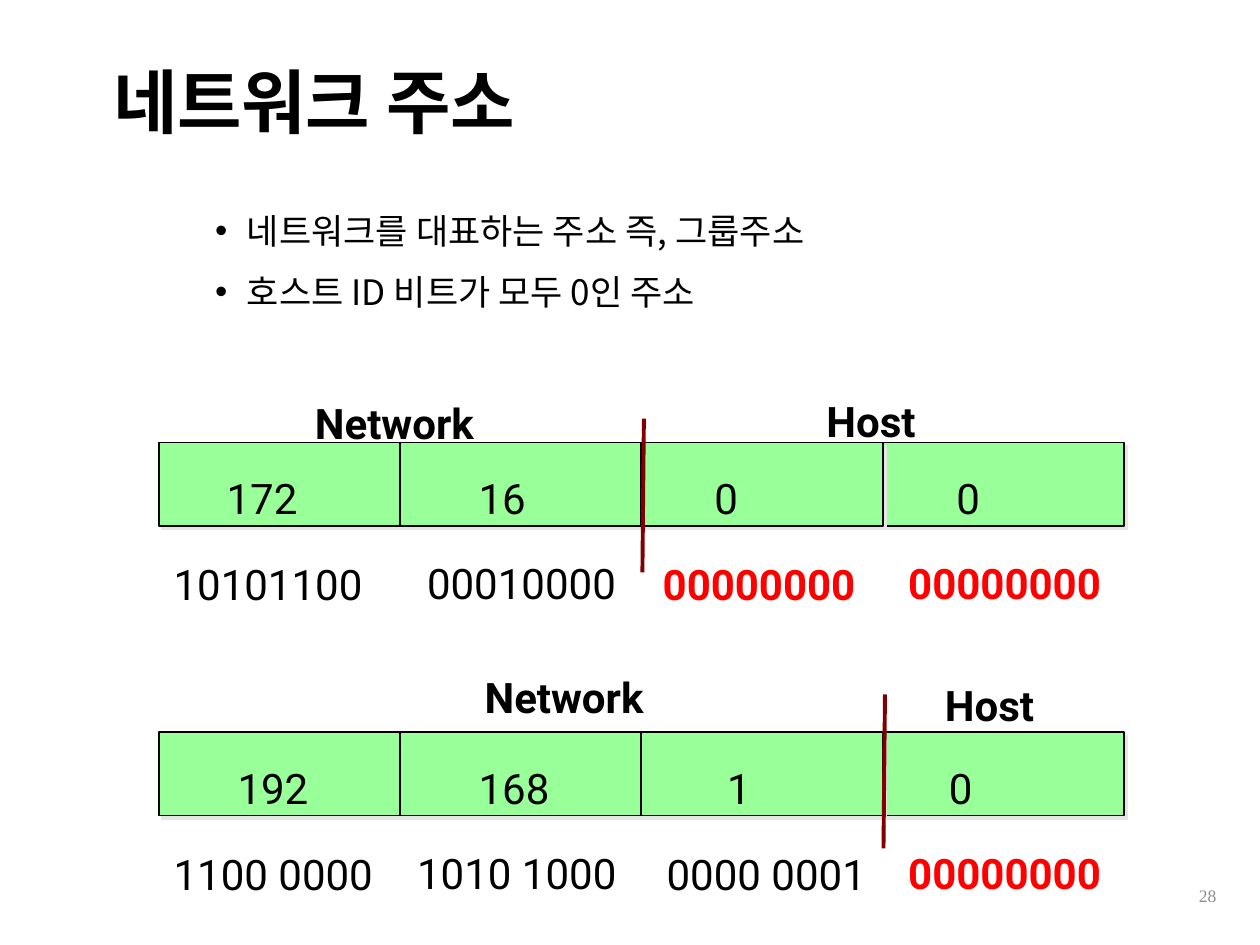
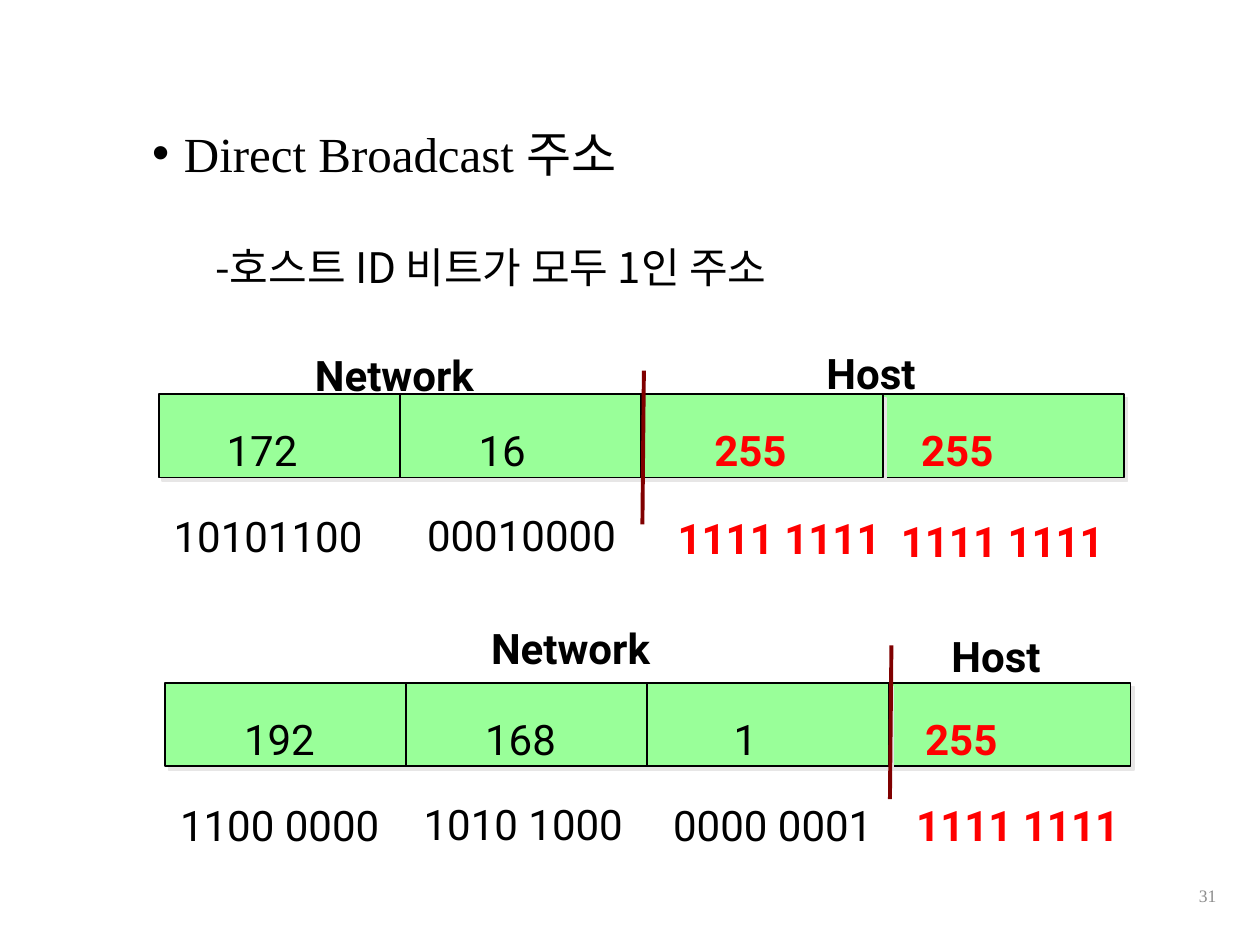
"""Build two slides on network and direct broadcast addresses."""
from lxml.etree import SubElement
from pptx import Presentation
from pptx.dml.color import RGBColor
from pptx.enum.shapes import MSO_CONNECTOR as Connector, MSO_SHAPE as Shape
from pptx.enum.text import MSO_ANCHOR as Anchor, PP_ALIGN as Align
from pptx.oxml.ns import qn
from pptx.util import Cm, Pt

BLACK = RGBColor(0x00, 0x00, 0x00)
RED = RGBColor(0xFF, 0x00, 0x00)
GREEN = RGBColor(0x99, 0xFF, 0x99)
MAROON = RGBColor(0x80, 0x00, 0x00)
GRAY = RGBColor(0x8C, 0x8C, 0x8C)
SHADOW = RGBColor(0xE7, 0xE6, 0xE6)
KOREAN, LATIN, SERIF = "Noto Sans CJK KR", "Roboto", "Times New Roman"

PITCH, CELL_WIDTH, CELL_HEIGHT = 4.86, 4.88, 1.68
DIVIDER_RISE = {2: 0.48, 3: 0.76}
LABELS = {
    2: [("Network", 2.9, -1.04, 3.89), ("Host", 13.21, -1.07, 2.41)],
    3: [("Network", 6.32, -1.35, 3.89), ("Host", 15.6, -1.19, 2.41)],
}

SLIDES = [
    {
        "title": "네트워크 주소",
        "body_top": 3.89,
        "body": [
            dict(text="네트워크를 대표하는 주소 즉, 그룹주소", size=20, latin=KOREAN,
                 margin=1.91, hanging=0.64, spacing=1.25),
            dict(text="호스트 ID 비트가 모두 0인 주소", size=20, latin=KOREAN,
                 margin=1.91, hanging=0.64, spacing=1.25, before=5),
        ],
        "addresses": [
            dict(left=3.2, top=8.92, network=2, host_color=BLACK,
                 values=[("172", 1.37), ("16", 1.59), ("0", 1.48), ("0", 1.5)],
                 bits=[("10101100", -0.03, 1.45), ("00010000", 5.08, 1.43),
                       ("00000000", 9.83, 1.45), ("00000000", 14.78, 1.43)]),
            dict(left=3.2, top=14.76, network=3, host_color=BLACK,
                 values=[("192", 1.59), ("168", 1.59), ("1", 1.74), ("0", 1.35)],
                 bits=[("1100 0000", -0.03, 1.45), ("1010 1000", 4.88, 1.43),
                       ("0000 0001", 9.91, 1.45), ("00000000", 14.78, 1.43)]),
        ],
        "number": "28",
    },
    {
        "title": None,
        "body_top": 1.17,
        "body": [
            dict(text="Direct Broadcast 주소", size=28, latin=SERIF,
                 margin=0.64, hanging=0.64, spacing=2.0),
            dict(text="-호스트 ID 비트가 모두 1인 주소", size=24, latin=KOREAN,
                 margin=1.27, hanging=0, spacing=2.0, before=5),
        ],
        "addresses": [
            dict(left=3.2, top=7.95, network=2, host_color=RED,
                 values=[("172", 1.37), ("16", 1.59), ("255", 1.48), ("255", 0.79)],
                 bits=[("10101100", -0.03, 1.45), ("00010000", 5.08, 1.43),
                       ("1111 1111", 10.13, 1.5), ("1111 1111", 14.63, 1.55)]),
            dict(left=3.33, top=13.77, network=3, host_color=RED,
                 values=[("192", 1.59), ("168", 1.59), ("1", 1.74), ("255", 0.74)],
                 bits=[("1100 0000", -0.03, 1.45), ("1010 1000", 4.88, 1.43),
                       ("0000 0001", 9.91, 1.45), ("1111 1111", 14.81, 1.45)]),
        ],
        "number": "31",
    },
]


def add_frame(slide, left, top, width, height, anchor=Anchor.TOP):
    box = slide.shapes.add_textbox(Cm(left), Cm(top), Cm(width), Cm(height))
    frame = box.text_frame
    frame.word_wrap = True
    frame.vertical_anchor = anchor
    return frame


def style(paragraph, size, latin, color=BLACK, bold=False):
    font = paragraph.font
    font.size, font.name, font.bold = Pt(size), latin, bold
    font.color.rgb = color
    properties = paragraph._p.pPr.find(qn("a:defRPr"))
    SubElement(properties, qn("a:ea"), typeface=KOREAN)


def add_body(slide, top, lines):
    frame = add_frame(slide, 2.82, top, 22.58, 13.44)
    for index, line in enumerate(lines):
        paragraph = frame.add_paragraph() if index else frame.paragraphs[0]
        paragraph.text = line["text"]
        properties = paragraph._p.get_or_add_pPr()
        properties.set("marL", str(Cm(line["margin"])))
        properties.set("indent", str(-Cm(line["hanging"])))
        if line["hanging"]:
            SubElement(properties, qn("a:buFont"), typeface="Arial")
            SubElement(properties, qn("a:buChar"), char="•")
        paragraph.line_spacing = line["spacing"]
        if "before" in line:
            paragraph.space_before = Pt(line["before"])
        style(paragraph, line["size"], line["latin"])


def write_digits(frame, text, inset, line_height, color, bold):
    frame.margin_left, frame.margin_right = Cm(inset), 0
    paragraph = frame.paragraphs[0]
    paragraph.text = text
    paragraph.alignment = Align.LEFT
    paragraph.line_spacing = Pt(line_height)
    style(paragraph, 24, LATIN, color, bold)


def add_cell(slide, left, top):
    cell = slide.shapes.add_shape(Shape.RECTANGLE, Cm(left), Cm(top),
                                  Cm(CELL_WIDTH), Cm(CELL_HEIGHT))
    cell.fill.solid()
    cell.fill.fore_color.rgb = GREEN
    cell.line.color.rgb = BLACK
    cell.line.width = Pt(1)
    cell.shadow.inherit = False
    effects = cell._element.spPr.find(qn("a:effectLst"))
    shadow = SubElement(effects, qn("a:outerShdw"), dist=str(Pt(2.8)),
                        dir="2700000", algn="ctr", rotWithShape="0")
    SubElement(shadow, qn("a:srgbClr"), val=str(SHADOW))
    frame = cell.text_frame
    frame.vertical_anchor = Anchor.TOP
    frame.margin_top = frame.margin_bottom = 0
    return frame


def add_divider(slide, left, top):
    divider = slide.shapes.add_connector(Connector.STRAIGHT, Cm(left), Cm(top),
                                         Cm(left - 0.03), Cm(top + 3.1))
    divider.line.color.rgb = MAROON
    divider.line.width = Pt(2.25)
    SubElement(divider._element.spPr, qn("a:effectLst"))


def add_address(slide, address):
    left, top, network = address["left"], address["top"], address["network"]
    for column in (3, 0, 1, 2):
        value, inset = address["values"][column]
        color = address["host_color"] if column >= network else BLACK
        frame = add_cell(slide, left + column * PITCH, top)
        write_digits(frame, value, inset, 46, color, color == RED)
    for column, (bits, across, down) in enumerate(address["bits"]):
        is_host = column >= network
        frame = add_frame(slide, left + across, top + down, 5.16, 2.1)
        frame.margin_top = frame.margin_bottom = Cm(0.2)
        write_digits(frame, bits, 0.33, 48.4, RED if is_host else BLACK, is_host)
    for label, across, down, width in LABELS[network]:
        frame = add_frame(slide, left + across, top + down, width, 1.27, Anchor.MIDDLE)
        paragraph = frame.paragraphs[0]
        paragraph.text = label
        style(paragraph, 24, LATIN, bold=True)
    add_divider(slide, left + network * PITCH + 0.06, top - DIVIDER_RISE[network])


def add_title(slide, text):
    paragraph = add_frame(slide, 2.03, 0.99, 21.89, 2.29, Anchor.MIDDLE).paragraphs[0]
    paragraph.text = text
    paragraph.line_spacing = 0.9
    style(paragraph, 40, KOREAN, bold=True)


def add_number(slide, number):
    paragraph = add_frame(slide, 19.05, 17.55, 5.72, 1.02, Anchor.MIDDLE).paragraphs[0]
    paragraph.text = number
    paragraph.alignment = Align.RIGHT
    style(paragraph, 10, SERIF, GRAY)


def main():
    presentation = Presentation()
    presentation.slide_width, presentation.slide_height = Cm(25.4), Cm(19.05)
    for content in SLIDES:
        slide = presentation.slides.add_slide(presentation.slide_layouts[6])
        if content["title"]:
            add_title(slide, content["title"])
        add_body(slide, content["body_top"], content["body"])
        for address in content["addresses"]:
            add_address(slide, address)
        add_number(slide, content["number"])
    presentation.save("out.pptx")


if __name__ == "__main__":
    main()
